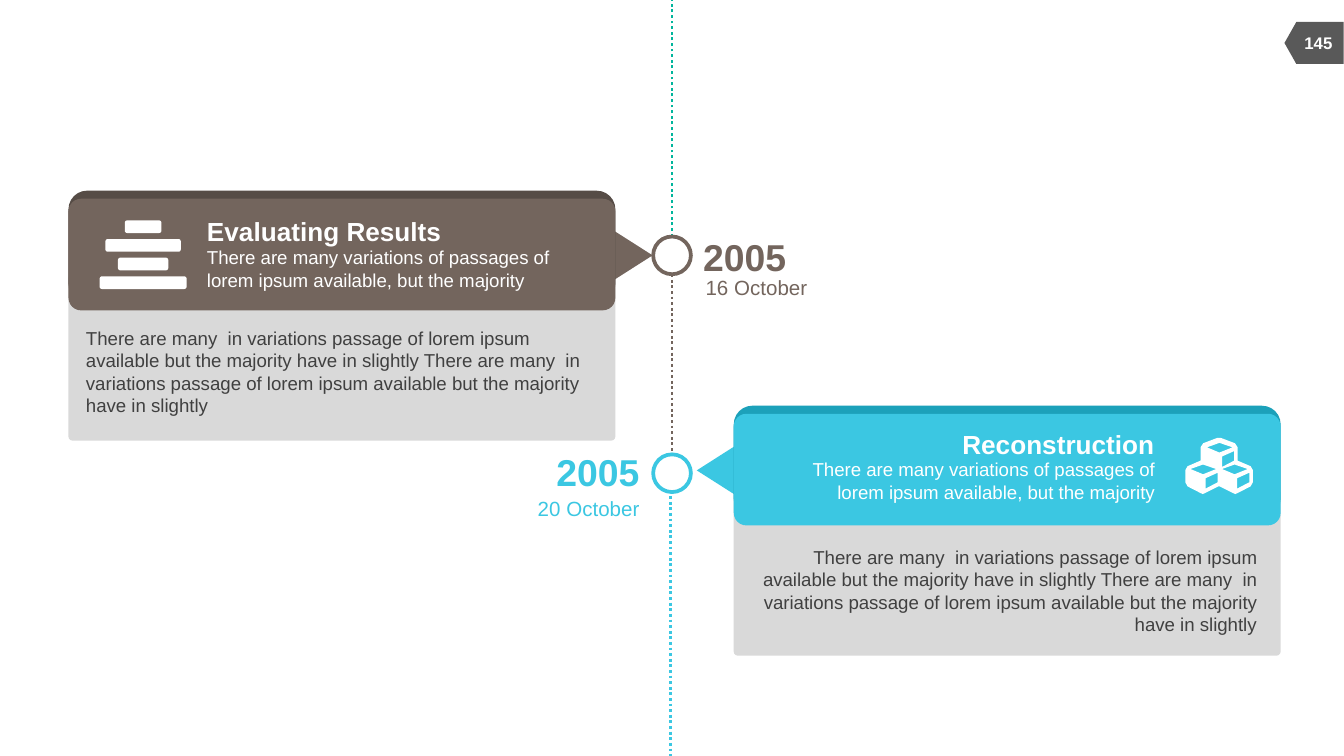
from math import cos, pi, sin

from lxml import etree
from pptx import Presentation
from pptx.dml.color import RGBColor
from pptx.enum import dml, shapes, text
from pptx.oxml.ns import qn
from pptx.util import Pt

LOREM_SHORT = "There are many variations of passages of lorem ipsum available, but the majority"
LOREM_LONG = " ".join(["There are many  in variations passage of lorem ipsum available"
                       " but the majority have in slightly"] * 2)
PAGE_NUMBER = "145"

THEME = dict(
    font="Arial", white="FFFFFF", panel="D9D9D9", body="404040", badge="595959",
    teal="01B59C", brown="73655D", brown_dark="564C46", cyan="3BC7E2", cyan_dark="1CA1BA",
    heading=14, text=10, year=20, date=11, number=9,
)

# Text positions are (edge, top); the edge is the left one, or the right one on a flipped card.
EVENTS = [
    dict(title="Evaluating Results", year="2005", date="16 October", color="brown", flipped=False,
         card=(36.7, 102.2), pointer_x=335.2, ring_top=126.7,
         title_at=(110.9, 115.2), intro_at=(110.9, 131.8), body_at=(46.1, 175),
         year_at=(376.6, 125.3), date_at=(378, 146.9)),
    dict(title="Reconstruction", year="2005", date="20 October", color="cyan", flipped=True,
         card=(393.1, 217.4), pointer_x=387.7, ring_top=243.4,
         title_at=(618.5, 229), intro_at=(618.5, 245.5), body_at=(673.2, 292.3),
         year_at=(342.7, 240.5), date_at=(342.7, 265.7)),
]
# x, top, bottom, color
AXIS = [(360, 126.7, 0, "teal"), (360, 146.9, 243.4, "brown"), (359.3, 262.8, 405, "cyan")]

CARD_W, HEADER_H, PANEL_H = 293, 59.8, 89.3
LIP, PANEL_DROP = 4.3, 44.6
POINTER_W, POINTER_H = 36.7, 28.8
RING = 20.2

BAR_WIDTHS = [19.6, 40.4, 27, 46.6]
BARS_CENTER, BARS_TOP, BAR_PITCH, BAR_H, BAR_RADIUS = 76.7, 118.1, 10, 6.8, 1.3

CUBES_AT = (635, 234.6)
CUBES_W = 36.2
CUBES_RIGHT_HALF = [(19, 0), (26.6, 2.9), (28, 5), (28, 12.2), (35, 15.2), (36.2, 17.3),
                    (36.2, 23.8), (35, 26), (28, 29.6), (26.8, 30.1), (25.6, 29.6), (18.4, 26)]
CUBE_OFFSETS = [(0, 0), (8.8, -11.6), (16.9, 0)]
CUBE_TOP = [(16.5, 16.7), (9.5, 14.3), (2.8, 16.7), (9.5, 19.5)]
CUBE_SIDE = [(17.4, 23.8), (17.4, 18.7), (10.9, 21.6), (10.9, 27.2)]


def rgb(name):
    return RGBColor.from_string(THEME[name])


def paint(sp, fill, line=None, width=0):
    sp.shadow.inherit = False
    sp.fill.solid()
    sp.fill.fore_color.rgb = rgb(fill)
    if line:
        sp.line.color.rgb = rgb(line)
        sp.line.width = Pt(width)
    else:
        sp.line.fill.background()


def add_shape(s, kind, x, y, w, h, fill, line=None, width=0, corner=None, turn=0):
    sp = s.shapes.add_shape(kind, Pt(x), Pt(y), Pt(w), Pt(h))
    paint(sp, fill, line, width)
    if corner is not None:
        sp.adjustments[0] = corner
    sp.rotation = turn
    return sp


def add_text(s, content, at, w, h, size, color, align="LEFT", bold=False, wrap=False, middle=True):
    """Place text by its left edge, or by its right edge when aligned right."""
    x, y = at
    if align == "RIGHT":
        x -= w
    tf = s.shapes.add_textbox(Pt(x), Pt(y), Pt(w), Pt(h)).text_frame
    tf.margin_left = tf.margin_right = tf.margin_top = tf.margin_bottom = 0
    tf.word_wrap = wrap
    tf.auto_size = text.MSO_AUTO_SIZE.SHAPE_TO_FIT_TEXT
    tf.vertical_anchor = text.MSO_ANCHOR.MIDDLE if middle else text.MSO_ANCHOR.TOP
    p = tf.paragraphs[0]
    p.alignment = text.PP_ALIGN[align]
    r = p.add_run()
    r.text = content
    r.font.name, r.font.size, r.font.bold = THEME["font"], Pt(THEME[size]), bold
    r.font.color.rgb = rgb(color)


def add_axis(s, x, top, bottom, color):
    line = s.shapes.add_connector(shapes.MSO_CONNECTOR.STRAIGHT, Pt(x), Pt(top), Pt(x), Pt(bottom))
    line.line.color.rgb = rgb(color)
    line.line.width = Pt(1.5)
    line.line.dash_style = dml.MSO_LINE.ROUND_DOT
    etree.SubElement(line._element.spPr, qn("a:effectLst"))


def add_outline(s, contours, fill):
    """Draw closed contours as one freeform; inner contours become holes."""
    contours = [[(Pt(x), Pt(y)) for x, y in c] for c in contours]
    builder = s.shapes.build_freeform(*contours[0][0], scale=1.0)
    for i, contour in enumerate(contours):
        if i:
            builder.move_to(*contour[0])
        builder.add_line_segments(contour[1:], close=True)
    paint(builder.convert_to_shape(), fill)


def rounded_bar(x, y, w, h, radius, steps=4):
    centers = [(x + w - radius, y + h - radius), (x + radius, y + h - radius),
               (x + radius, y + radius), (x + w - radius, y + radius)]
    angles = [[(corner + k / steps) * pi / 2 for k in range(steps + 1)] for corner in range(4)]
    return [(cx + radius * cos(a), cy + radius * sin(a))
            for (cx, cy), arc in zip(centers, angles) for a in arc]


def add_bars_icon(s):
    add_outline(s, [rounded_bar(BARS_CENTER - w / 2, BARS_TOP + i * BAR_PITCH, w, BAR_H, BAR_RADIUS)
                    for i, w in enumerate(BAR_WIDTHS)], "white")


def add_cubes_icon(s):
    left_half = [(CUBES_W - x, y) for x, y in reversed(CUBES_RIGHT_HALF)]
    contours = [CUBES_RIGHT_HALF + left_half]
    for dx, dy in CUBE_OFFSETS:
        contours += [[(x + dx, y + dy) for x, y in face] for face in (CUBE_TOP, CUBE_SIDE)]
    left, top = CUBES_AT
    add_outline(s, [[(left + x, top + y) for x, y in c] for c in contours], "white")


def add_event(s, e):
    kind = shapes.MSO_SHAPE
    x, y = e["card"]
    color = e["color"]
    align = "RIGHT" if e["flipped"] else "LEFT"
    add_shape(s, kind.ROUNDED_RECTANGLE, x, y + PANEL_DROP, CARD_W, PANEL_H, "panel", corner=0.025)
    add_shape(s, kind.ISOSCELES_TRIANGLE, e["pointer_x"] - POINTER_W / 2, y + 20.2,
              POINTER_W, POINTER_H, color, turn=270 if e["flipped"] else 90)
    add_shape(s, kind.ROUNDED_RECTANGLE, x, y, CARD_W, HEADER_H, color + "_dark")
    add_shape(s, kind.ROUNDED_RECTANGLE, x, y + LIP, CARD_W, HEADER_H, color, corner=0.113)
    add_shape(s, kind.OVAL, 360 - RING / 2, e["ring_top"], RING, RING, "white", color, 2)
    title_w = 103 if e["flipped"] else 126
    add_text(s, e["title"], e["title_at"], title_w, 17.3, "heading", "white", align, bold=True)
    add_text(s, LOREM_SHORT, e["intro_at"], 198.7, 24.5, "text", "white", align,
             wrap=True, middle=False)
    add_text(s, LOREM_LONG, e["body_at"], 271.4, 48.2, "text", "body", align,
             wrap=True, middle=False)
    add_text(s, e["year"], e["year_at"], 44.6, 24.5, "year", color, align, bold=True)
    add_text(s, e["date"], e["date_at"], 54.7, 13.7, "date", color, align)


def main():
    prs = Presentation()
    prs.slide_width, prs.slide_height = Pt(720), Pt(405)
    s = prs.slides.add_slide(prs.slide_layouts[6])
    add_shape(s, shapes.MSO_SHAPE.FLOWCHART_OFFPAGE_CONNECTOR, 692.7, 7.2, 22.5, 31.7,
              "badge", turn=90)
    add_text(s, PAGE_NUMBER, (691.2, 12.2), 30.2, 21.6, "number", "white", "CENTER",
             bold=True, wrap=True)
    for segment in AXIS:
        add_axis(s, *segment)
    for event in EVENTS:
        add_event(s, event)
    add_bars_icon(s)
    add_cubes_icon(s)
    prs.save("out.pptx")


if __name__ == "__main__":
    main()
